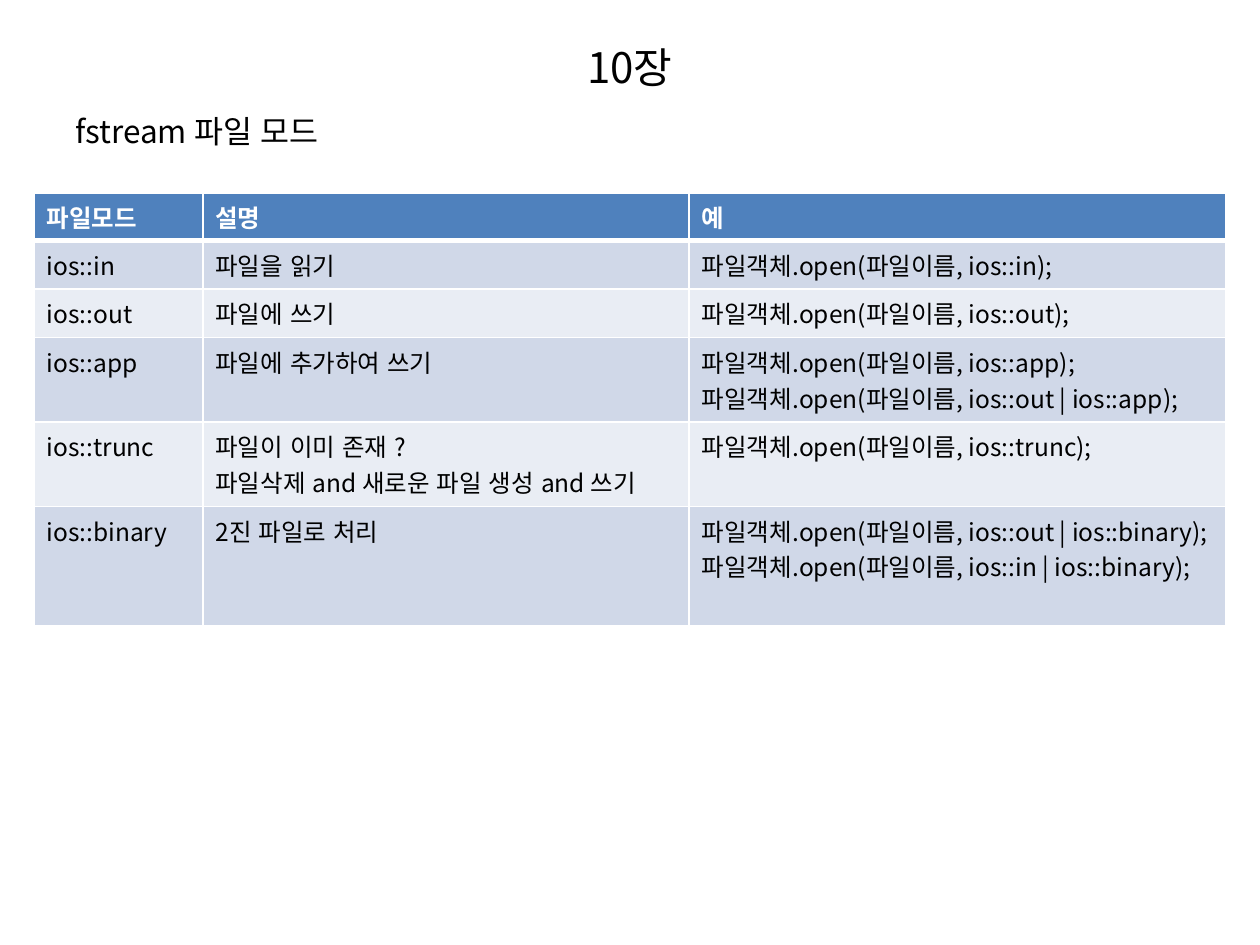
"""Build the slide that explains the fstream file modes."""
from lxml.etree import SubElement
from pptx import Presentation
from pptx.dml.color import RGBColor
from pptx.enum.lang import MSO_LANGUAGE_ID
from pptx.enum.text import MSO_ANCHOR, PP_ALIGN
from pptx.oxml.ns import qn
from pptx.util import Inches, Pt

FONT = "Noto Sans CJK KR"


def color(value):
    return RGBColor.from_string(value)


def write(frame, lines, size, fill="000000", bold=False):
    frame.word_wrap = True
    for index, line in enumerate(lines):
        paragraph = frame.paragraphs[0] if index == 0 else frame.add_paragraph()
        run = paragraph.add_run()
        run.text = line
        run.font.size = Pt(size)
        run.font.bold = bold
        run.font.language_id = MSO_LANGUAGE_ID.KOREAN
        run.font.color.rgb = color(fill)
        run.font.name = FONT
        SubElement(run._r.get_or_add_rPr(), qn("a:ea"), typeface=FONT)


presentation = Presentation()
presentation.slide_width = Inches(10)
presentation.slide_height = Inches(7.5)
slide = presentation.slides.add_slide(presentation.slide_layouts[6])

title = slide.shapes.add_textbox(Inches(0.5), Inches(0.3), Inches(9), Inches(0.46)).text_frame
write(title, ["10장"], 24)
title.vertical_anchor = MSO_ANCHOR.MIDDLE
title.paragraphs[0].alignment = PP_ALIGN.CENTER

body = slide.shapes.add_textbox(Inches(0.5), Inches(0.84), Inches(9), Inches(5.86)).text_frame
write(body, ["fstream 파일 모드"], 18)
body.paragraphs[0].space_before = Pt(3.6)

rows = [
    (["파일모드"], ["설명"], ["예"]),
    (["ios::in"], ["파일을 읽기"], ["파일객체.open(파일이름, ios::in);"]),
    (["ios::out"], ["파일에 쓰기"], ["파일객체.open(파일이름, ios::out);"]),
    (["ios::app"], ["파일에 추가하여 쓰기"],
     ["파일객체.open(파일이름, ios::app);", "파일객체.open(파일이름, ios::out | ios::app);"]),
    (["ios::trunc"], ["파일이 이미 존재 ?", "파일삭제 and 새로운 파일 생성 and 쓰기"],
     ["파일객체.open(파일이름, ios::trunc);"]),
    (["ios::binary"], ["2진 파일로 처리"],
     ["파일객체.open(파일이름, ios::out | ios::binary);",
      "파일객체.open(파일이름, ios::in | ios::binary);"]),
]
column_widths = [1.34, 3.86, 4.26]
row_heights = [0.38, 0.385, 0.385, 0.67, 0.67, 0.95]

table = slide.shapes.add_table(
    len(rows), len(column_widths), Inches(0.27), Inches(1.53),
    Inches(sum(column_widths)), Inches(sum(row_heights)),
).table
for column, width in zip(table.columns, column_widths):
    column.width = Inches(width)
for row, height in zip(table.rows, row_heights):
    row.height = Inches(height)

for row_index, row in enumerate(rows):
    header = row_index == 0
    row_fill = "4F81BD" if header else ("E9EDF4", "D0D8E8")[row_index % 2]
    for column_index, lines in enumerate(row):
        cell = table.cell(row_index, column_index)
        write(cell.text_frame, lines, 14, "FFFFFF" if header else "000000", header)
        cell.margin_right = Inches(0.06)
        for side in "LRTB":
            thick = (side == "B" and header) or (side == "T" and row_index == 1)
            border = SubElement(
                cell._tc.get_or_add_tcPr(), qn(f"a:ln{side}"), w=str(Pt(3 if thick else 1))
            )
            SubElement(SubElement(border, qn("a:solidFill")), qn("a:srgbClr"), val="FFFFFF")
        cell.fill.solid()
        cell.fill.fore_color.rgb = color(row_fill)

presentation.save("out.pptx")
